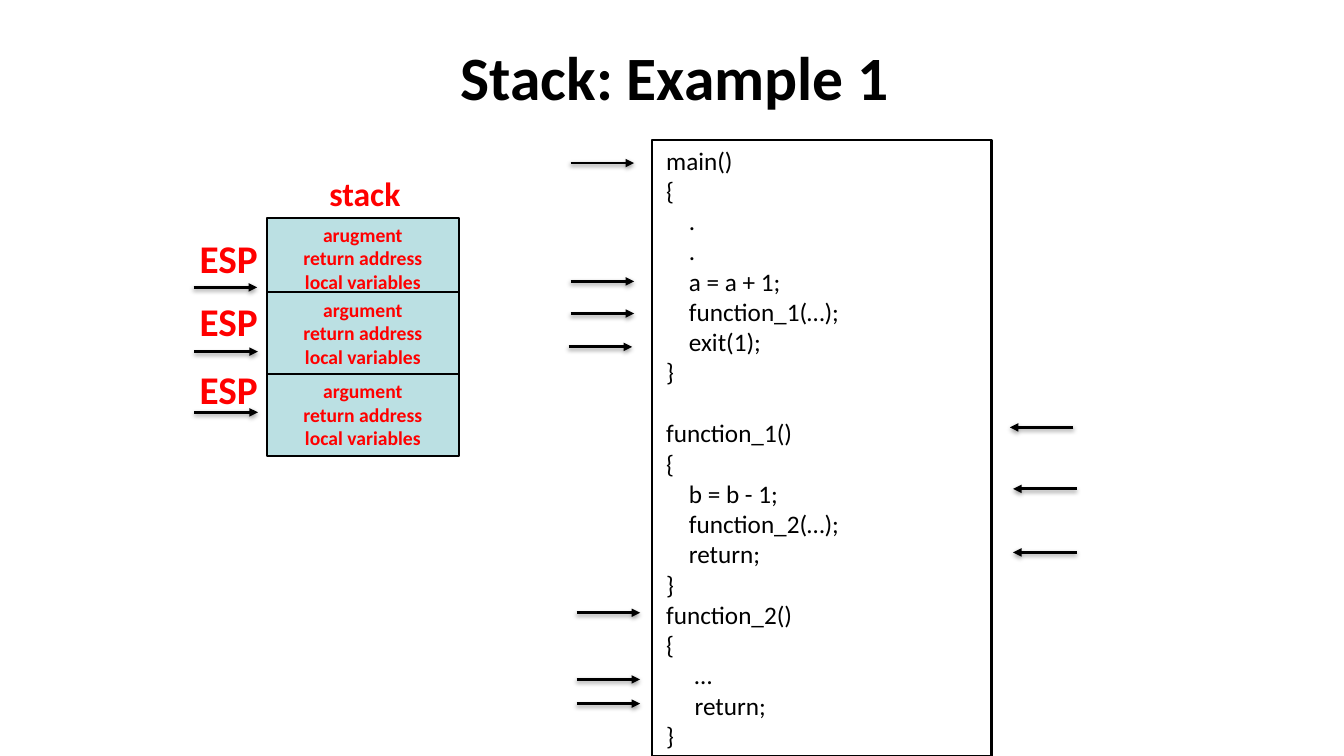
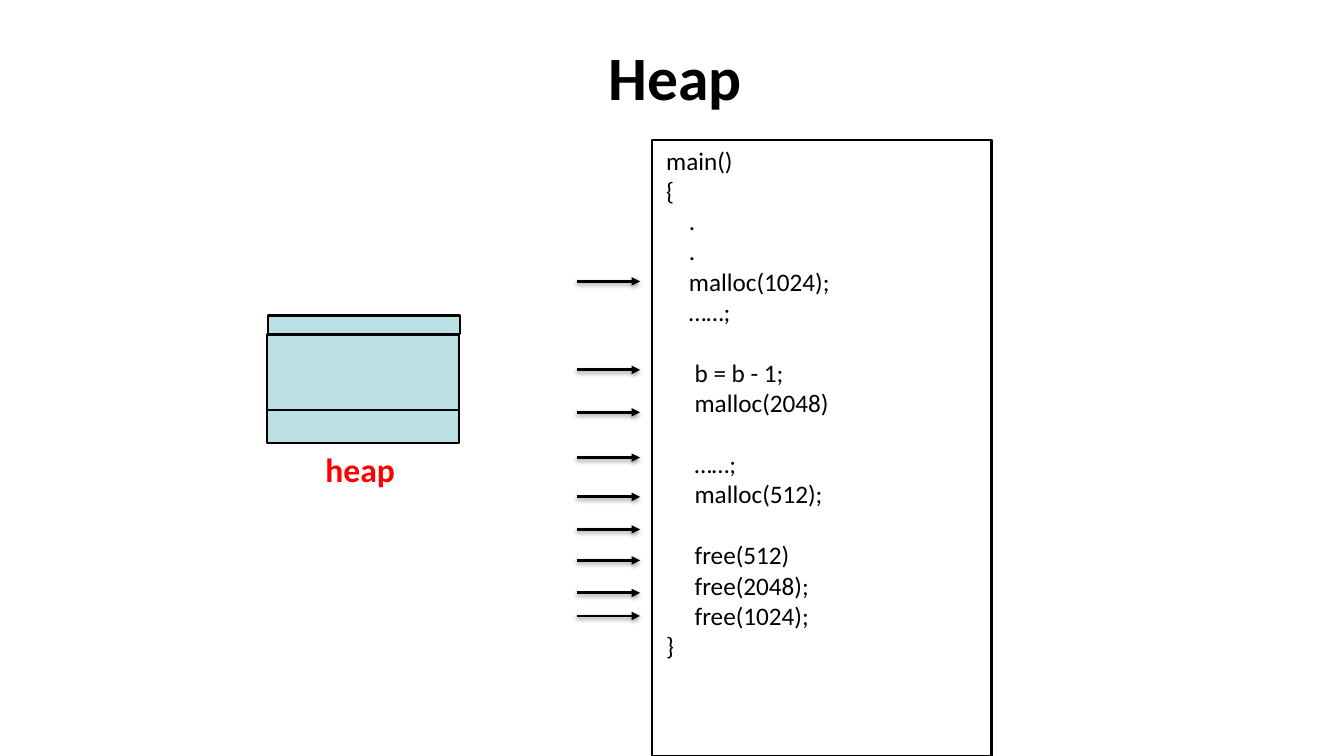
from lxml.etree import SubElement
from pptx import Presentation
from pptx.dml.color import RGBColor
from pptx.enum.shapes import MSO_CONNECTOR as Connector, MSO_SHAPE as Shape
from pptx.enum.text import MSO_ANCHOR as Anchor, PP_ALIGN as Align
from pptx.oxml.ns import qn
from pptx.util import Cm, Pt

COLORS = {"ink": "000000", "paper": "FFFFFF", "accent": "FF0000", "memory": "BBE0E3"}
FONT = "Calibri"
CODE_LINE = Pt(22)
ARROW_LENGTH = 1.6
CODE_BOX = (16.43, 3.53, 8.56, 15.52)
MEMORY_LEFT, MEMORY_WIDTH = 6.73, 4.83

STACK_CODE = """main()
{
    .
    .
    a = a + 1;
    function_1(…);
    exit(1);
}

function_1()
{
    b = b - 1;
    function_2(…);
    return;
}
function_2()
{
     …
     return;
}"""

HEAP_CODE = """main()
{
    .
    .
    malloc(1024);
    ……;

     b = b - 1;
     malloc(2048)

     ……;
     malloc(512);

     free(512)
     free(2048);
     free(1024);
}"""


def color(name):
    return RGBColor.from_string(COLORS[name])


def style_font(paragraph, size, name="ink", bold=False):
    font = paragraph.font
    font.name, font.size, font.bold = FONT, Pt(size), bold
    font.color.rgb = color(name)


def add_titled_slide(presentation, title):
    slide = presentation.slides.add_slide(presentation.slide_layouts[5])
    shape = slide.shapes.title
    shape.left, shape.top, shape.width, shape.height = Cm(4.9), Cm(0.33), Cm(24.23), Cm(3.18)
    shape.text_frame.text = title
    shape.text_frame.vertical_anchor = Anchor.MIDDLE
    paragraph = shape.text_frame.paragraphs[0]
    paragraph.alignment = Align.CENTER
    style_font(paragraph, 44, bold=True)
    return slide


def add_box(slide, box, fill, line_width):
    shape = slide.shapes.add_shape(Shape.RECTANGLE, *map(Cm, box))
    shape.shadow.inherit = False
    shape.fill.solid()
    shape.fill.fore_color.rgb = color(fill)
    shape.line.color.rgb = color("ink")
    shape.line.width = Pt(line_width)
    frame = shape.text_frame
    frame.word_wrap = True
    frame.vertical_anchor = Anchor.TOP
    return shape


def add_label(slide, text, left, top, size):
    shape = slide.shapes.add_textbox(Cm(left), Cm(top), Cm(2.6), Cm(size / 20))
    shape.text_frame.text = text
    style_font(shape.text_frame.paragraphs[0], size, "accent", bold=True)


def add_arrow(slide, left, top, length=ARROW_LENGTH):
    connector = slide.shapes.add_connector(
        Connector.STRAIGHT, Cm(left), Cm(top), Cm(left + length), Cm(top))
    connector.line.color.rgb = color("ink")
    connector.line.width = Pt(2)
    SubElement(connector.line._get_or_add_ln(), qn("a:tailEnd"), type="triangle")
    effects = SubElement(connector._element.spPr, qn("a:effectLst"))
    shadow = SubElement(effects, qn("a:outerShdw"), blurRad="40000", dist="20000",
                        dir="5400000", rotWithShape="0")
    tint = SubElement(shadow, qn("a:srgbClr"), val=COLORS["ink"])
    SubElement(tint, qn("a:alpha"), val="38000")


def add_code_panel(slide, box, code, right_arrows, left_arrows=()):
    frame = add_box(slide, box, "paper", 2).text_frame
    frame.margin_left, frame.margin_bottom = Cm(0.36), 0
    gap, paragraph = 0, frame.paragraphs[0]
    for line in code.split("\n"):
        if not line:
            gap += CODE_LINE
            continue
        if paragraph is None:
            paragraph = frame.add_paragraph()
        paragraph.text = line
        paragraph.alignment = Align.LEFT
        style_font(paragraph, 18)
        if gap:
            paragraph.space_before = gap
        gap, paragraph = 0, None
    left, top = box[:2]
    for x, y in right_arrows:
        add_arrow(slide, left + x, top + y)
    for x, y in left_arrows:
        add_arrow(slide, left + x, top + y, -ARROW_LENGTH)


def add_stack(slide, left, top, width):
    add_label(slide, "stack", left + 1.32, top - 1.27, 24)
    frames = [(0, "arugment", 1.25), (1.88, "argument", 1.5), (3.94, "argument", 1.5)]
    for y, first_line, line_width in frames:
        box = (left, top + y, width, 2.06)
        frame = add_box(slide, box, "memory", line_width).text_frame
        frame.text = "\n".join([first_line, "return address", "local variables"])
        for paragraph in frame.paragraphs:
            paragraph.alignment = Align.CENTER
            style_font(paragraph, 14, "accent", bold=True)
    pointers = [(0.28, -1.85, 1.75), (1.88, -1.83, 3.37), (3.58, -1.83, 4.9)]
    for label_y, arrow_x, arrow_y in pointers:
        add_label(slide, "ESP", left - 1.95, top + label_y, 28)
        add_arrow(slide, left + arrow_x, top + arrow_y)


def add_heap(slide, left, top, width):
    blocks = [(0, 2.36, 0.86, 1.25), (0, 0.48, 1.9, 1.5), (0.03, 0, 0.46, 1.5)]
    for x, y, height, line_width in blocks:
        add_box(slide, (left + x, top + y, width, height), "memory", line_width)
    add_label(slide, "heap", left + 1.22, top + 3.23, 24)


def build_stack_slide(presentation):
    slide = add_titled_slide(presentation, "Stack: Example 1")
    right_arrows = [(-2.05, 0.58), (-2.05, 3.56), (-2.05, 4.37), (-2.1, 5.21),
                    (-1.9, 11.91), (-1.9, 13.59), (-1.9, 14.2)]
    left_arrows = [(10.62, 7.24), (10.7, 8.79), (10.7, 10.39)]
    add_code_panel(slide, CODE_BOX, STACK_CODE, right_arrows, left_arrows)
    add_stack(slide, MEMORY_LEFT, 5.49, MEMORY_WIDTH)


def build_heap_slide(presentation):
    slide = add_titled_slide(presentation, "Heap")
    steps = [3.56, 5.79, 6.86, 8, 8.99, 9.81, 10.59, 11.41, 11.99]
    add_code_panel(slide, CODE_BOX, HEAP_CODE, [(-1.9, y) for y in steps])
    add_heap(slide, MEMORY_LEFT, 7.95, MEMORY_WIDTH)


def main():
    presentation = Presentation()
    presentation.slide_width, presentation.slide_height = Cm(33.87), Cm(19.05)
    build_stack_slide(presentation)
    build_heap_slide(presentation)
    presentation.save("out.pptx")


if __name__ == "__main__":
    main()
